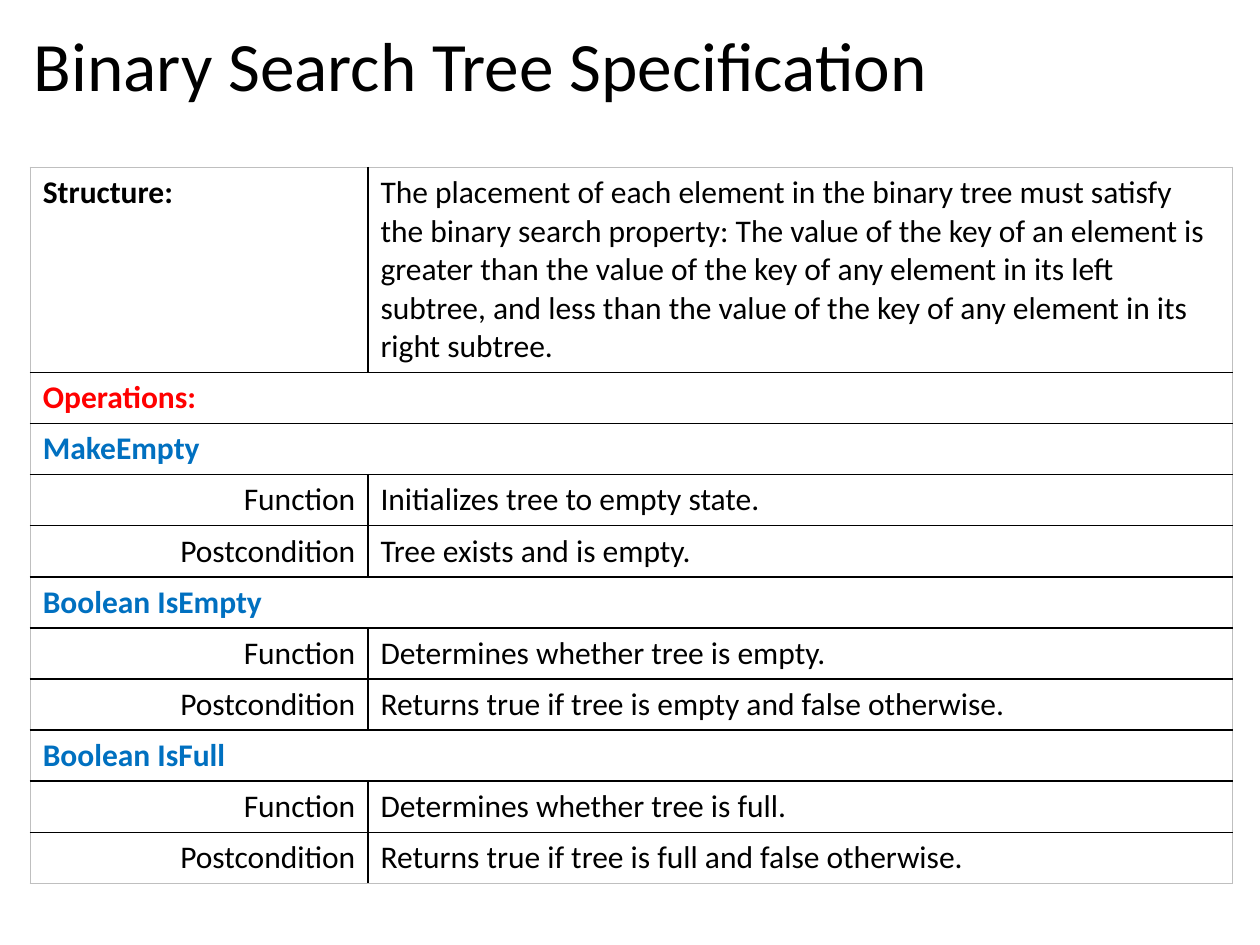
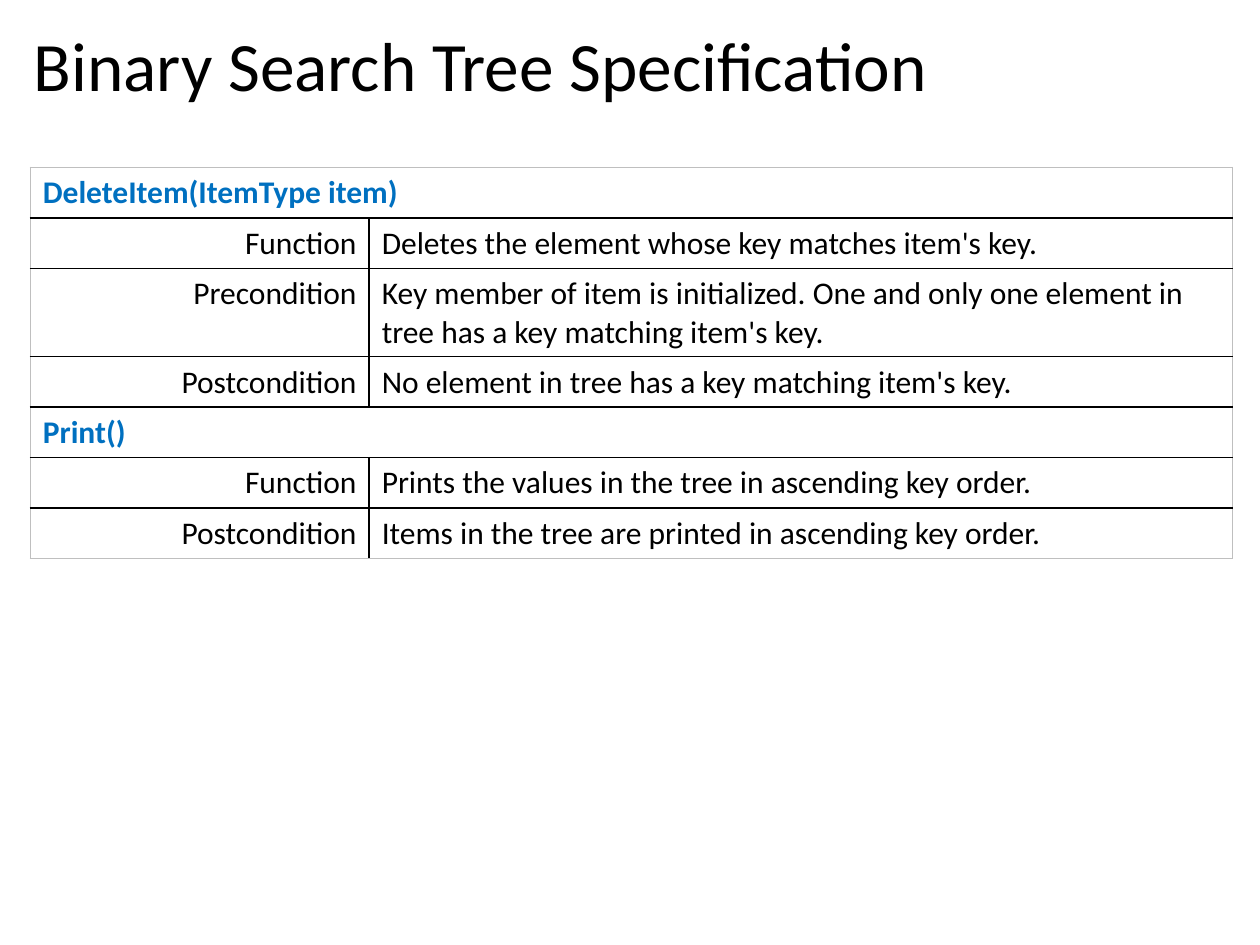
from lxml import etree
from pptx import Presentation
from pptx.dml.color import RGBColor
from pptx.enum import text
from pptx.oxml import ns
from pptx.util import Inches, Pt

COLORS = {
    "text": "000000",
    "section": "FF0000",
    "operation": "0070C0",
    "inner": "000000",
    "outer": "BFBFBF",
}
FONT = "Calibri"
TITLE = "Binary Search Tree Specification"

# Each row: kind, first cell, second cell (None when merged), lines of text
STRUCTURE = (
    "The placement of each element in the binary tree must satisfy the binary search "
    "property: The value of the key of an element is greater than the value of the key "
    "of any element in its left subtree, and less than the value of the key of any "
    "element in its right subtree."
)
BASIC_ROWS = [
    ("heading", "Structure:", STRUCTURE, 5),
    ("section", "Operations:", None, 1),
    ("operation", "MakeEmpty", None, 1),
    ("detail", "Function", "Initializes tree to empty state.", 1),
    ("detail", "Postcondition", "Tree exists and is empty.", 1),
    ("operation", "Boolean IsEmpty", None, 1),
    ("detail", "Function", "Determines whether tree is empty.", 1),
    ("detail", "Postcondition", "Returns true if tree is empty and false otherwise.", 1),
    ("operation", "Boolean IsFull", None, 1),
    ("detail", "Function", "Determines whether tree is full.", 1),
    ("detail", "Postcondition", "Returns true if tree is full and false otherwise.", 1),
]
DELETE_PRINT_ROWS = [
    ("operation", "DeleteItem(ItemType item)", None, 1),
    ("detail", "Function", "Deletes the element whose key matches item's key.", 1),
    ("detail", "Precondition", "Key member of item is initialized. One and only one "
     "element in tree has a key matching item's key.", 2),
    ("detail", "Postcondition", "No element in tree has a key matching item's key.", 1),
    ("operation", "Print()", None, 1),
    ("detail", "Function", "Prints the values in the tree in ascending key order.", 1),
    ("detail", "Postcondition", "Items in the tree are printed in ascending key order.", 1),
]


def style_paragraph(paragraph, size, color="text", bold=False):
    paragraph.font.name = FONT
    paragraph.font.size = Pt(size)
    paragraph.font.bold = bold
    paragraph.font.color.rgb = RGBColor.from_string(COLORS[color])


def add_title(slide):
    box = slide.shapes.add_textbox(Inches(0.17), Inches(0.18), Inches(9.62), Inches(0.74))
    frame = box.text_frame
    frame.word_wrap = True
    frame.vertical_anchor = text.MSO_ANCHOR.MIDDLE
    paragraph = frame.paragraphs[0]
    paragraph.text = TITLE
    paragraph.line_spacing = 0.9
    style_paragraph(paragraph, 39.6)


def set_borders(cell, outer_sides):
    """Draw the four edges, lighter on the rim of the table."""
    properties = cell._tc.get_or_add_tcPr()
    for index, side in enumerate(("L", "R", "T", "B")):
        line = etree.Element(ns.qn(f"a:ln{side}"), w=str(Pt(1)))
        fill = etree.SubElement(line, ns.qn("a:solidFill"))
        color = COLORS["outer" if side in outer_sides else "inner"]
        etree.SubElement(fill, ns.qn("a:srgbClr"), val=color)
        properties.insert(index, line)


def fill_cell(cell, content, kind="detail", align_right=False):
    paragraph = cell.text_frame.paragraphs[0]
    paragraph.text = content
    if align_right:
        paragraph.alignment = text.PP_ALIGN.RIGHT
    color = kind if kind in ("section", "operation") else "text"
    style_paragraph(paragraph, 18, color, bold=kind != "detail")


def add_specification(slide, rows, label_width):
    width = 9.54
    heights = [0.1 + 0.3 * lines for *_, lines in rows]
    table = slide.shapes.add_table(
        len(rows), 2, Inches(0.24), Inches(1.33), Inches(width), Inches(sum(heights))
    ).table
    table.first_row = table.horz_banding = False
    table.columns[0].width = Inches(label_width)
    table.columns[1].width = Inches(width - label_width)

    for index, (kind, label, description, _) in enumerate(rows):
        table.rows[index].height = Inches(heights[index])
        label_cell, description_cell = table.cell(index, 0), table.cell(index, 1)
        fill_cell(label_cell, label, kind, align_right=kind == "detail")
        merged = description is None
        if merged:
            label_cell.merge(description_cell)
        else:
            fill_cell(description_cell, description)

        rim = "T" * (index == 0) + "B" * (index == len(rows) - 1)
        for cell, side in ((label_cell, "L"), (description_cell, "R")):
            cell.fill.background()
            set_borders(cell, rim + ("LR" if merged else side))


def main():
    presentation = Presentation()
    presentation.slide_width, presentation.slide_height = Inches(10), Inches(7.5)
    for rows, label_width in ((BASIC_ROWS, 2.68), (DELETE_PRINT_ROWS, 2.69)):
        slide = presentation.slides.add_slide(presentation.slide_layouts[6])
        add_specification(slide, rows, label_width)
        add_title(slide)
    presentation.save("out.pptx")


if __name__ == "__main__":
    main()
